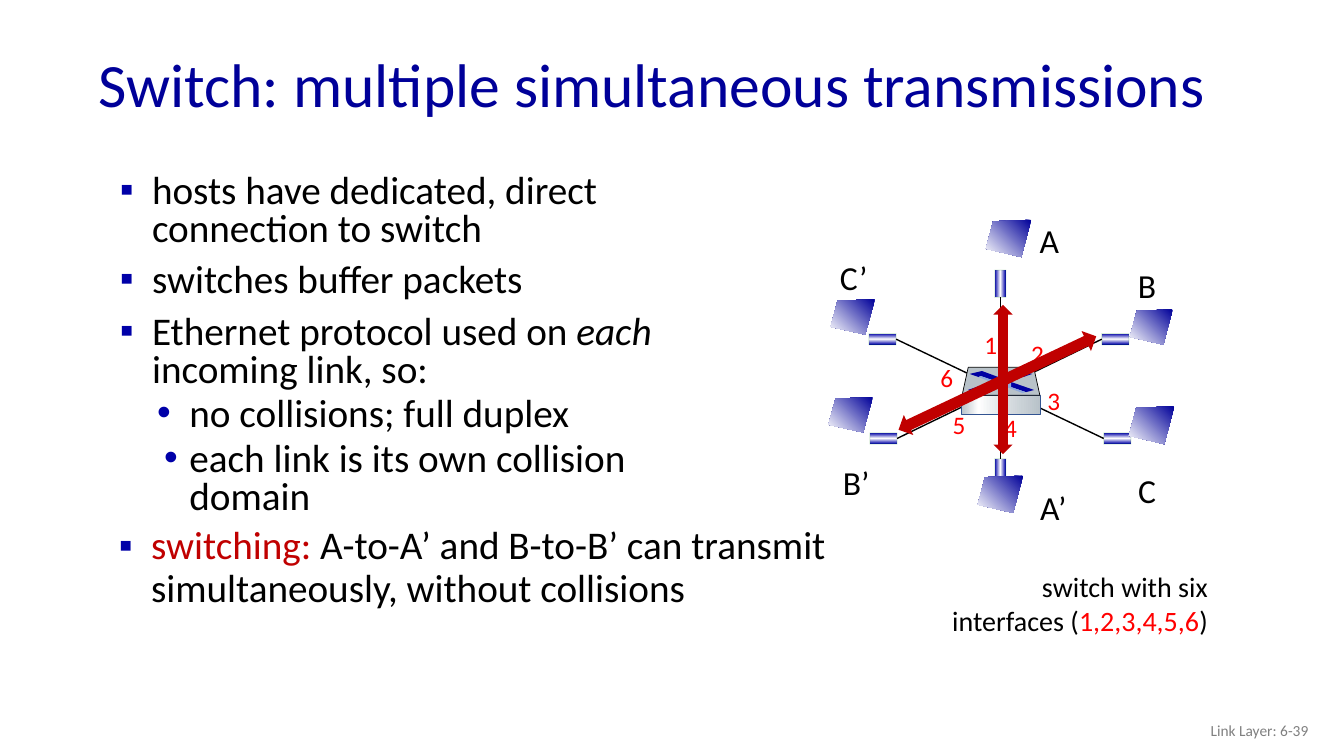
from dataclasses import dataclass

from lxml.etree import SubElement
from pptx import Presentation
from pptx.dml.color import RGBColor
from pptx.enum.shapes import MSO_CONNECTOR, MSO_SHAPE
from pptx.enum.text import MSO_ANCHOR, MSO_AUTO_SIZE, PP_ALIGN
from pptx.oxml import parse_xml
from pptx.oxml.ns import nsdecls, qn
from pptx.util import Pt

TOP, LEFT, BOTTOM, RIGHT = range(4)


@dataclass(frozen=True)
class Theme:
    font: str = "Calibri"
    title_size: int = 44
    body_size: int = 28
    host_size: int = 24
    caption_size: int = 20
    port_size: int = 18
    footer_size: int = 11
    title: str = "000099"
    text: str = "000000"
    footer: str = "808080"
    port: str = "FF0000"
    accent: str = "C00000"
    bullet: str = "0000A8"
    outline: str = "325491"
    cover: str = "B8C2C9"
    symbol: str = "0000A3"
    symbol_edge: str = "8FAADC"
    plug_line: str = "008000"
    screen_stops: tuple = ((0, "000099"), (100, "FFFFFF"))
    plug_stops: tuple = ((0, "0000A8"), (50, "FFFFFF"), (99, "0000A8"))
    case_stops: tuple = ((0, "B8C2C9"), (21, "FFFFFF"), (60, "D6DCE0"), (100, "B8C2C9"))


def mirrored(half, middle):
    """Close an outline by reflecting its right half about x = middle."""
    right = [(middle + x, y) for x, y in half]
    return right + [(middle - x, y) for x, y in reversed(half) if x]


class SlideBuilder:
    def __init__(self, page, theme):
        self.page, self.theme = page, theme
        self.shapes = page.shapes

    def add_spans(self, para, spans, size):
        """Add (text, colour[, italic]) spans to a paragraph."""
        for text, colour, *italic in spans:
            span = para.add_run()
            span.text = text
            span.font.name, span.font.size = self.theme.font, Pt(size)
            span.font.color.rgb = RGBColor.from_string(colour)
            if italic:
                span.font.italic = italic[0]

    def place(self, idx, frame, anchor):
        """Move a placeholder and return its text frame."""
        box = self.page.placeholders[idx]
        box.left, box.top, box.width, box.height = map(Pt, frame)
        box.text_frame.auto_size = MSO_AUTO_SIZE.NONE
        box.text_frame.vertical_anchor = anchor
        return box.text_frame

    def title(self, text, frame):
        para = self.place(0, frame, MSO_ANCHOR.MIDDLE).paragraphs[0]
        para.alignment, para.line_spacing = PP_ALIGN.LEFT, 0.9
        self.add_spans(para, [(text, self.theme.title)], self.theme.title_size)

    def bullets(self, idx, frame, items, line_spacing):
        """Fill a body placeholder with (level, hanging, spans) items."""
        body = self.place(idx, frame, MSO_ANCHOR.TOP)
        for number, (level, hanging, spans) in enumerate(items):
            para = body.add_paragraph() if number else body.paragraphs[0]
            para.level, para.line_spacing = level, line_spacing
            para.space_before = Pt((5 if level else 10) if number else 0)
            props = para._p.get_or_add_pPr()
            props.set("marL", str(Pt(54.7 if level else 28)))
            props.set("indent", str(-Pt(hanging)))
            colour = SubElement(props, qn("a:buClr"))
            SubElement(colour, qn("a:srgbClr"), val=self.theme.bullet)
            SubElement(props, qn("a:buFont"), typeface="Arial")
            SubElement(props, qn("a:buChar"), char="•" if level else "▪")
            self.add_spans(para, spans, self.theme.body_size)

    def text(self, frame, spans, size, align=PP_ALIGN.RIGHT, anchor=MSO_ANCHOR.TOP):
        box = self.shapes.add_textbox(*map(Pt, frame)).text_frame
        box.word_wrap, box.vertical_anchor = True, anchor
        box.paragraphs[0].alignment = align
        self.add_spans(box.paragraphs[0], spans, size)
        return box

    def label(self, text, center, size, colour):
        x, y = center
        box = self.text((x - 15, y - 15, 30, 30), [(text, colour)], size,
                        PP_ALIGN.CENTER, MSO_ANCHOR.MIDDLE)
        box.margin_left = box.margin_right = 0

    def paint(self, shape, fill, line=None, width=0.5, angle=0):
        """Fill with a colour, or with gradient stops along an angle."""
        shape.shadow.inherit = False
        if isinstance(fill, str):
            shape.fill.solid()
            shape.fill.fore_color.rgb = RGBColor.from_string(fill)
        else:
            stops = "".join(f'<a:gs pos="{pos * 1000}"><a:srgbClr val="{colour}"/></a:gs>'
                            for pos, colour in fill)
            props = shape._element.spPr
            outline = props.find(qn("a:custGeom"))
            if outline is None:
                outline = props.find(qn("a:prstGeom"))
            outline.addnext(parse_xml(
                f'<a:gradFill {nsdecls("a")} rotWithShape="1"><a:gsLst>{stops}</a:gsLst>'
                f'<a:lin ang="{angle * 60000}" scaled="0"/></a:gradFill>'))
        if line:
            shape.line.color.rgb = RGBColor.from_string(line)
            shape.line.width = Pt(width)
        else:
            shape.line.fill.background()
        return shape

    def polygon(self, points, fill, **style):
        start, *rest = [(Pt(x), Pt(y)) for x, y in points]
        builder = self.shapes.build_freeform(*start)
        builder.add_line_segments(rest, close=True)
        return self.paint(builder.convert_to_shape(), fill, **style)

    def shape(self, kind, center, size, fill, rotation=0, **style):
        (x, y), (w, h) = center, size
        shape = self.shapes.add_shape(kind, Pt(x - w / 2), Pt(y - h / 2), Pt(w), Pt(h))
        shape.rotation = rotation
        return self.paint(shape, fill, **style)

    def screen(self, corner, size):
        (x, y), (w, h) = corner, size
        outline = ((1, 0), (0.16, 0.04), (0, 0.78), (0.78, 1))
        self.polygon([(x + w * u, y + h * v) for u, v in outline],
                     self.theme.screen_stops, angle=135)

    def plug(self, center, upright):
        plug = self.shape(MSO_SHAPE.RECTANGLE, center, (8, 19.4) if upright else (19.4, 8),
                          self.theme.plug_stops, line=self.theme.plug_line, width=0.75,
                          angle=0 if upright else 90)
        colour = plug._element.spPr.find(qn("a:ln")).find(".//" + qn("a:srgbClr"))
        SubElement(colour, qn("a:alpha"), val="15000")
        return plug

    def link(self, first, first_side, second, second_side):
        line = self.shapes.add_connector(MSO_CONNECTOR.STRAIGHT, 0, 0, 0, 0)
        line.begin_connect(first, first_side)
        line.end_connect(second, second_side)
        line.line.color.rgb = RGBColor.from_string(self.theme.text)
        line.line.width = Pt(1)
        SubElement(line._element.spPr, qn("a:effectLst"))

    def switch(self, middle):
        theme = self.theme
        self.shape(MSO_SHAPE.RECTANGLE, (middle, 289), (56.2, 13.7), theme.case_stops,
                   line=theme.outline)
        self.polygon(mirrored([(23.4, 262.4), (27.8, 282.4)], middle), theme.cover,
                     line=theme.text)
        upper = [(0, 270), (13.5, 265), (22.4, 267.1), (16, 269.3), (14.4, 268.6), (0, 273.6)]
        edge = [(0, 273.6), (14.4, 268.6), (16, 269.3), (7.2, 272.9), (7.2, 276.5),
                (17.5, 280.1), (15.5, 280.8), (0, 275)]
        self.polygon(mirrored(upper, middle), theme.symbol)
        for side in (1, -1):
            foot = ((7.2, 272.9), (23.7, 278.6), (18, 280.1), (7.2, 276.5))
            self.polygon([(middle + side * x, y) for x, y in foot], theme.symbol)
        self.polygon(mirrored(edge, middle), theme.symbol_edge)


# name: label centre, plug centre, upright plug, screen corner, screen size
HOSTS = {
    "A": ((749.5, 171.4), (714.6, 202.7), True, (704.2, 157), (32.4, 26.6)),
    "B": ((819.4, 203.8), (796.7, 242.3), False, (807.1, 221), (30.6, 25.2)),
    "C": ((819.4, 349.9), (798.1, 313.2), False, (806.4, 290.2), (32.4, 27)),
    "A’": ((752.4, 362.2), (714.6, 337.3), True, (698.4, 339.8), (32.4, 26.6)),
    "B’": ((611.6, 344.2), (631.1, 313.2), False, (591.8, 283.7), (31.7, 25.2)),
    "C’": ((609.8, 198), (630.4, 242.3), False, (593.3, 213.8), (31.7, 25.2)),
}
PORTS = ((707.8, 246.2), (741.2, 252.7), (752.8, 285.8),
         (721.8, 305.3), (685.1, 303.1), (676.3, 269.3))


def main():
    deck = Presentation()
    deck.slide_width, deck.slide_height = Pt(960), Pt(540)
    theme = Theme()
    build = SlideBuilder(deck.slides.add_slide(deck.slide_layouts[3]), theme)

    build.title("Switch: multiple simultaneous transmissions", (63.4, 27.4, 828, 70.6))
    build.bullets(1, (73.4, 121, 460, 270.7), [
        (0, 23, [("hosts have dedicated, direct connection to switch", theme.text)]),
        (0, 23, [("switches buffer packets", theme.text)]),
        (0, 23, [("Ethernet protocol used on ", theme.text), ("each", theme.text, True),
                 (" incoming link, so:", theme.text)]),
        (1, 23, [("no collisions; full duplex", theme.text)]),
        (1, 18, [("each link is its own collision domain", theme.text)]),
    ], 0.8)
    build.bullets(2, (72.7, 372.2, 529.2, 117.4), [
        (0, 23, [("switching: ", theme.accent),
                 ("A-to-A’ and B-to-B’ can transmit simultaneously, without collisions",
                  theme.text)]),
    ], 0.9)
    build.text((725.8, 507.6, 216, 28.8), [("Link Layer: 6-39", theme.footer)],
               theme.footer_size, anchor=MSO_ANCHOR.MIDDLE)
    build.text((657.4, 403.2, 212.4, 55.4), [
        ("switch with six interfaces (", theme.text), ("1,2,3,4,5,6", theme.port),
        (")", theme.text)], theme.caption_size)

    plugs = {}
    for name, (label, plug, upright, corner, size) in HOSTS.items():
        build.label(name, label, theme.host_size, theme.text)
        plugs[name] = build.plug(plug, upright)
        build.screen(corner, size)
    for number, center in enumerate(PORTS, 1):
        build.label(str(number), center, theme.port_size, theme.port)
    build.link(plugs["A"], BOTTOM, plugs["A’"], TOP)
    build.link(plugs["B’"], RIGHT, plugs["B"], LEFT)
    build.link(plugs["C’"], RIGHT, plugs["C"], LEFT)
    build.switch(715)
    for center, size, rotation in (((716.4, 271.1), (106.6, 13.7), 90),
                                   ((712.4, 273.6), (156.2, 15.8), 154.7)):
        build.shape(MSO_SHAPE.LEFT_RIGHT_ARROW, center, size, theme.accent, rotation)
    deck.save("out.pptx")


if __name__ == "__main__":
    main()
